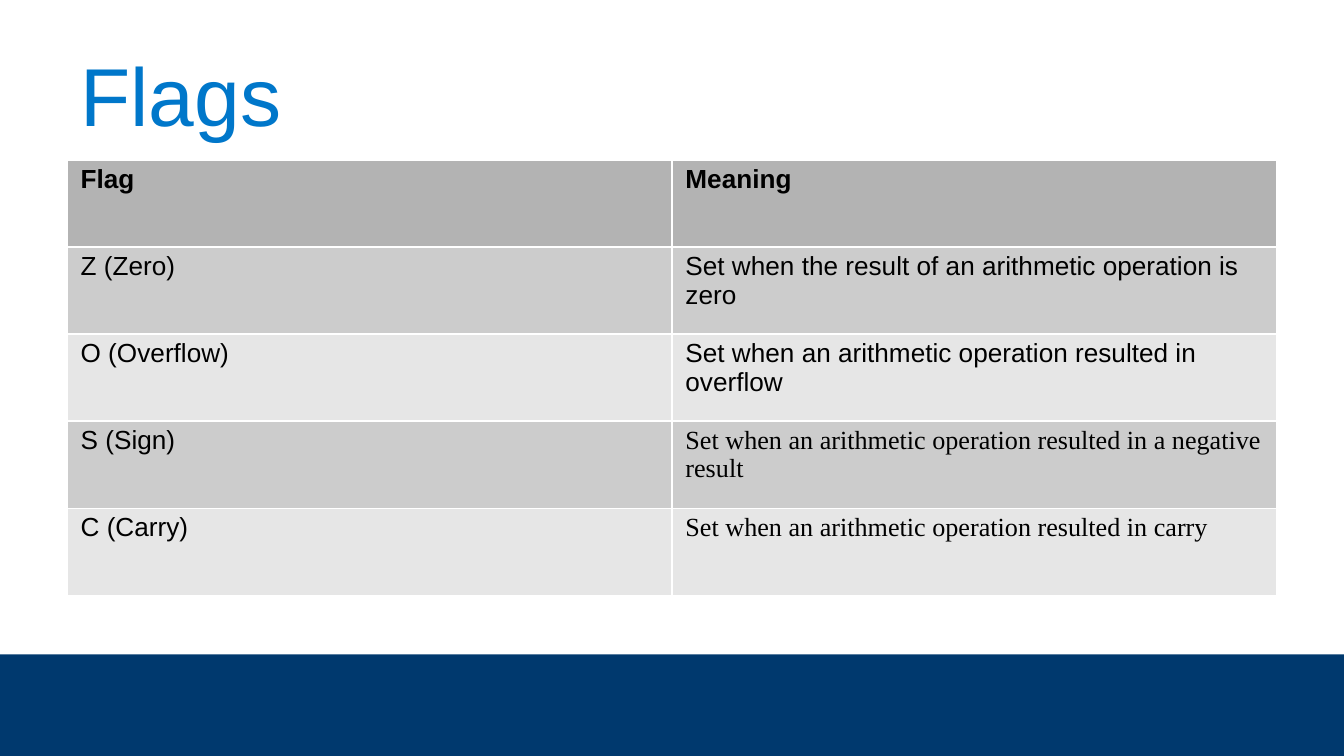
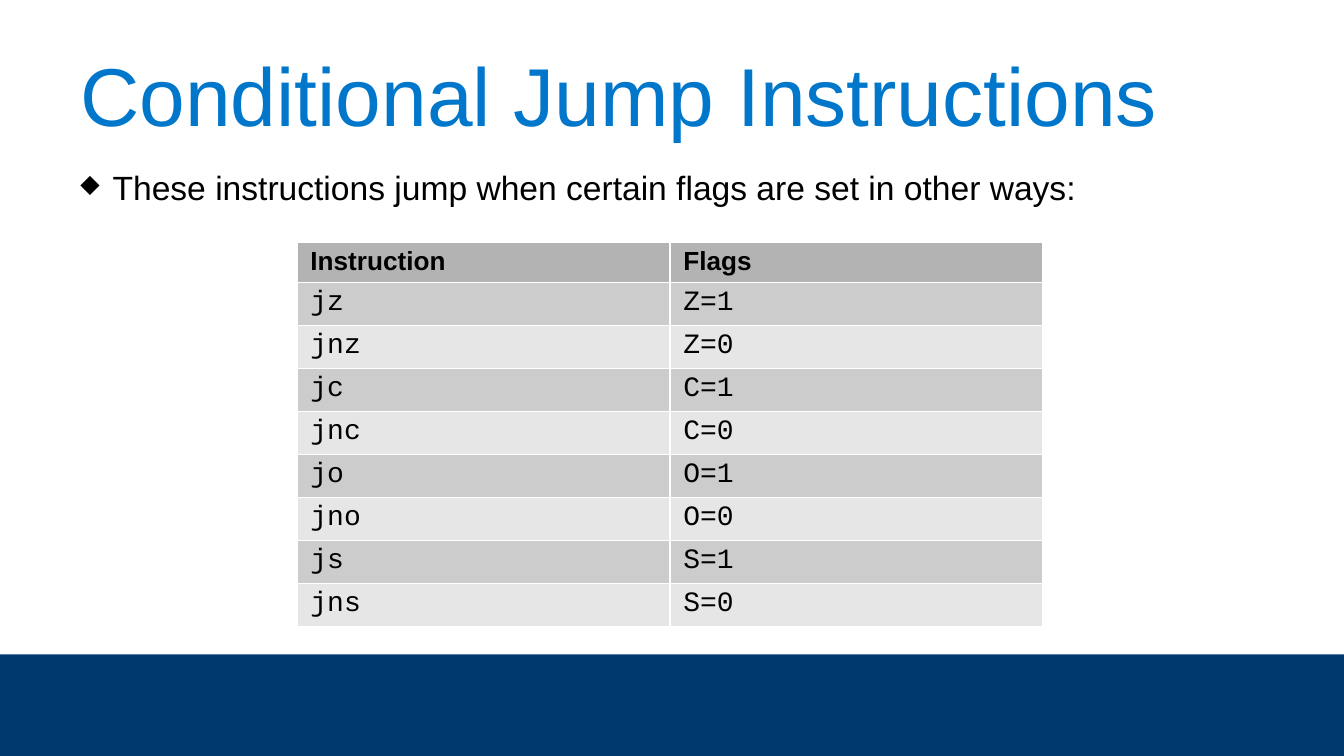
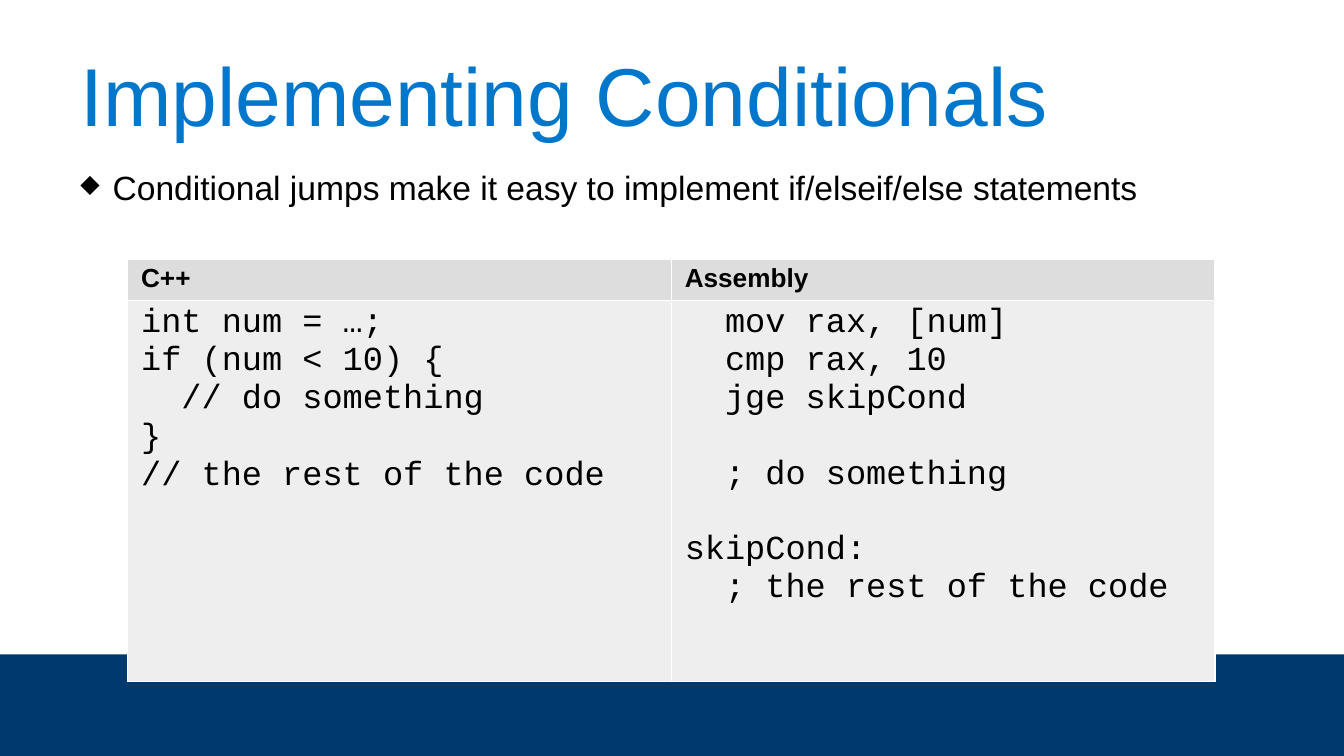
"""Build three slides on processor flags and conditional jumps."""
from lxml import etree
from pptx import Presentation
from pptx.dml.color import RGBColor
from pptx.enum.shapes import MSO_SHAPE
from pptx.enum.text import MSO_ANCHOR
from pptx.oxml.ns import qn
from pptx.util import Inches, Pt

SANS, SERIF, MONO = "Arial", "Times New Roman", "Courier New"
TITLE_BLUE, BAND_BLUE, BLACK, WHITE = "0077CA", "00396E", "000000", "FFFFFF"
GREYS = ("B3B3B3", "CCCCCC", "E6E6E6")
LIGHT_GREYS = ("DDDDDD", "EEEEEE", "EEEEEE")
CODE_LINE = 20

CPP_CODE = """int num = …;
if (num < 10) {
  // do something
}
// the rest of the code"""
ASSEMBLY_CODE = """  mov rax, [num]
  cmp rax, 10
  jge skipCond

  ; do something

skipCond:
  ; the rest of the code"""

JUMPS = [(prefix + flag.lower(), f"{flag}={value}")
         for flag in "ZCOS" for prefix, value in (("j", 1), ("jn", 0))]

SLIDES = [
    {
        "title": "Flags",
        "table": [
            ("Flag", "Meaning"),
            ("Z (Zero)", "Set when the result of an arithmetic operation is zero"),
            ("O (Overflow)", "Set when an arithmetic operation resulted in overflow"),
            ("S (Sign)", "Set when an arithmetic operation resulted in a negative result"),
            ("C (Carry)", "Set when an arithmetic operation resulted in carry"),
        ],
        "place": (0.5, 1.19, 9), "heights": (3.24 / 5, 3.24 / 5),
        "font": (SANS, 14), "fills": GREYS,
        "special_fonts": {(3, 1): SERIF, (4, 1): SERIF},
    },
    {
        "title": "Conditional Jump Instructions",
        "bullet": "These instructions jump when certain flags are set in other ways:",
        "table": [("Instruction", "Flags")] + JUMPS,
        "place": (2.21, 1.8, 5.55), "heights": (0.28, 0.31),
        "font": (MONO, 15), "fills": GREYS,
    },
    {
        "title": "Implementing Conditionals",
        "bullet": "Conditional jumps make it easy to implement if/elseif/else statements",
        "table": [("C++", "Assembly"), (CPP_CODE, ASSEMBLY_CODE)],
        "place": (0.95, 1.93, 8.09), "heights": (0.25, 2.84),
        "font": (MONO, 18), "fills": LIGHT_GREYS,
    },
]


def color(value):
    return RGBColor.from_string(value)


def set_font(paragraph, name, size, value=BLACK, bold=False):
    font = paragraph.font
    font.name, font.size, font.bold = name, Pt(size), bold
    font.color.rgb = color(value)


def add_band(slide):
    band = slide.shapes.add_shape(
        MSO_SHAPE.RECTANGLE, 0, Inches(4.87), Inches(10), Inches(0.76))
    band.shadow.inherit = False
    band.fill.solid()
    band.fill.fore_color.rgb = color(BAND_BLUE)
    band.line.fill.background()


def add_text(slide, text, top, height, anchor):
    box = slide.shapes.add_textbox(Inches(0.5), Inches(top), Inches(9), Inches(height))
    frame = box.text_frame
    frame.word_wrap = True
    frame.vertical_anchor = anchor
    frame.text = text
    return frame.paragraphs[0]


def add_bullet(paragraph):
    properties = paragraph._p.get_or_add_pPr()
    properties.set("marL", str(Inches(0.24)))
    properties.set("indent", str(Inches(-0.27)))
    bullet_color = etree.SubElement(properties, qn("a:buClr"))
    etree.SubElement(bullet_color, qn("a:srgbClr"), val=BLACK)
    etree.SubElement(properties, qn("a:buSzPct"), val="75000")
    etree.SubElement(properties, qn("a:buChar"), char="◆")


def add_borders(cell):
    properties = cell._tc.get_or_add_tcPr()
    for side in ("lnL", "lnR", "lnT", "lnB"):
        line = etree.SubElement(properties, qn(f"a:{side}"), w=str(Pt(0.75)))
        fill = etree.SubElement(line, qn("a:solidFill"))
        etree.SubElement(fill, qn("a:srgbClr"), val=WHITE)


def fill_cell(cell, text, fill, font, size, bold):
    add_borders(cell)
    cell.fill.solid()
    cell.fill.fore_color.rgb = color(fill)
    cell.margin_left = cell.margin_right = Inches(0.1)
    cell.margin_top = cell.margin_bottom = Pt(2.5)
    frame = cell.text_frame
    paragraph, gap = frame.paragraphs[0], 0
    for index, line in enumerate(text.split("\n")):
        if not line:
            gap += CODE_LINE
            continue
        if index:
            paragraph = frame.add_paragraph()
        paragraph.text = line
        if gap:
            paragraph.space_before = Pt(gap)
            gap = 0
        set_font(paragraph, font, size, bold=bold)


def add_table(slide, content):
    rows = content["table"]
    left, top, width = content["place"]
    header_height, body_height = content["heights"]
    header_fill, *body_fills = content["fills"]
    body_font, body_size = content["font"]
    special_fonts = content.get("special_fonts", {})
    height = header_height + body_height * (len(rows) - 1)
    table = slide.shapes.add_table(
        len(rows), len(rows[0]), Inches(left), Inches(top), Inches(width), Inches(height)).table
    for row, texts in enumerate(rows):
        header = row == 0
        table.rows[row].height = Inches(header_height if header else body_height)
        fill = header_fill if header else body_fills[(row - 1) % 2]
        for column, text in enumerate(texts):
            font = SANS if header else special_fonts.get((row, column), body_font)
            size = 14 if header else body_size
            fill_cell(table.cell(row, column), text, fill, font, size, header)


def main():
    presentation = Presentation()
    presentation.slide_width = Inches(10)
    presentation.slide_height = presentation.slide_width * 9 // 16
    for content in SLIDES:
        slide = presentation.slides.add_slide(presentation.slide_layouts[6])
        add_band(slide)
        title = add_text(slide, content["title"], 0.23, 0.94, MSO_ANCHOR.MIDDLE)
        set_font(title, SANS, 44, TITLE_BLUE)
        if "bullet" in content:
            paragraph = add_text(slide, content["bullet"], 1.19, 3.84, MSO_ANCHOR.TOP)
            add_bullet(paragraph)
            set_font(paragraph, SANS, 18)
        add_table(slide, content)
    presentation.save("out.pptx")


if __name__ == "__main__":
    main()
